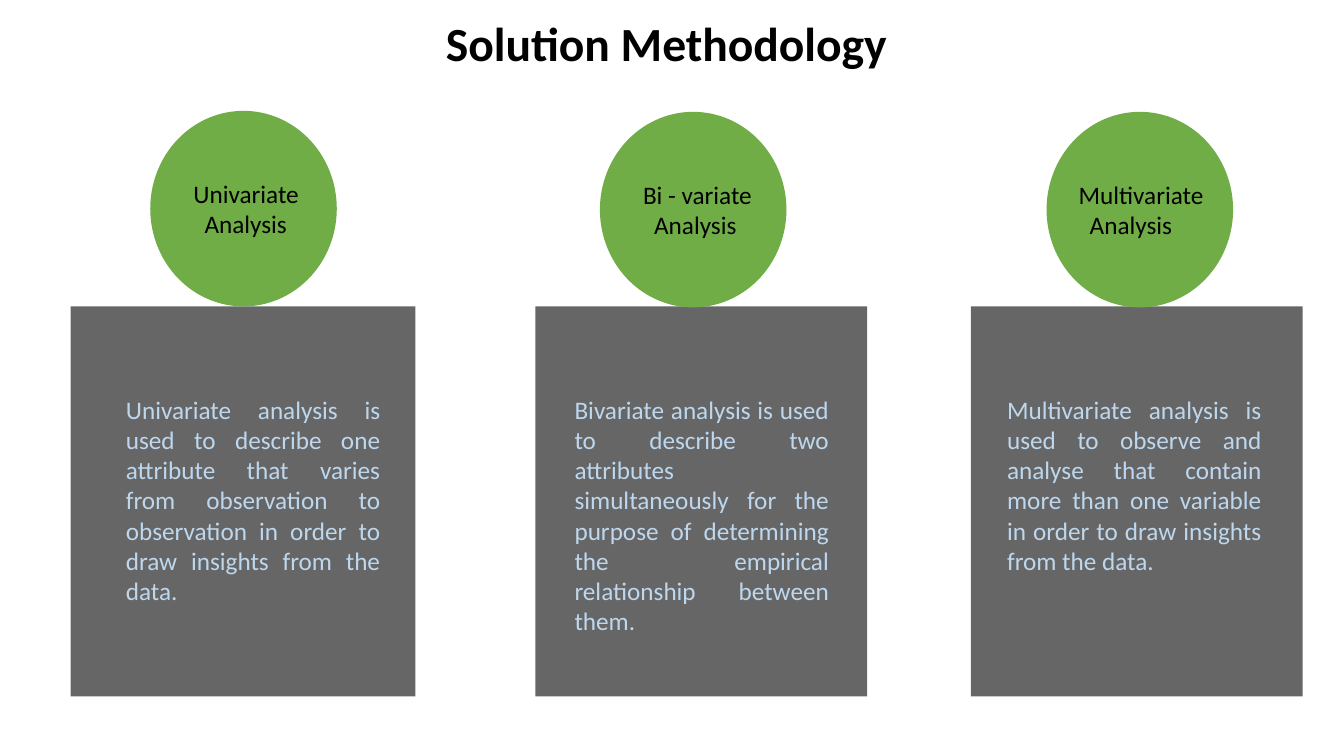
from dataclasses import dataclass

from lxml import etree
from pptx import Presentation, util as u
from pptx.dml.color import RGBColor
from pptx.enum import shapes, text
from pptx.oxml.ns import qn

PANEL_TOP, PANEL_HEIGHT = 3.04, 3.87
CIRCLE_WIDTH, CIRCLE_HEIGHT = 1.85, 1.94
BODY_TOP, BODY_WIDTH = 3.86, 2.72
LINE_STEP = 0.11  # extra indent of a label's second line


@dataclass
class Column:
    left: float
    width: float
    circle_shift: float
    circle_top: float
    body_shift: float
    body_height: float
    label: tuple
    label_indent: float
    body: str


COLUMNS = [
    Column(0.7, 3.42, 0.79, 1.1, 0.45, 2.22, ("Univariate", "Analysis"), 0.28,
           "Univariate analysis is used to describe one attribute that varies "
           "from observation to observation in order to draw insights from the data."),
    Column(5.31, 3.29, 0.64, 1.11, 0.29, 2.52, ("Bi - variate", "Analysis"), 0.28,
           "Bivariate analysis is used to describe two attributes simultaneously "
           "for the purpose of determining the empirical relationship between them."),
    Column(9.63, 3.29, 0.75, 1.11, 0.26, 1.92, ("Multivariate", "Analysis"), 0.17,
           "Multivariate analysis is used to observe and analyse that contain more "
           "than one variable in order to draw insights from the data."),
]


def colour(value):
    return RGBColor.from_string(value)


def inches(*lengths):
    return [u.Inches(length) for length in lengths]


def add_filled(page, kind, box, fill, opacity=100):
    shape = page.shapes.add_shape(kind, *inches(*box))
    shape.shadow.inherit = False
    shape.fill.solid()
    shape.fill.fore_color.rgb = colour(fill)
    shape.line.fill.background()
    if opacity < 100:
        tint = shape.fill._xPr.find(".//" + qn("a:srgbClr"))
        etree.SubElement(tint, qn("a:alpha"), val=str(opacity * 1000))


def write(frame, lines, fill, align, size=18, bold=False, indents=(0, 0)):
    frame.word_wrap = True
    frame.vertical_anchor = text.MSO_ANCHOR.TOP
    for number, (line, indent) in enumerate(zip(lines, indents)):
        para = frame.add_paragraph() if number else frame.paragraphs[0]
        para.alignment = align
        if indent:
            para._p.get_or_add_pPr().set("marL", str(u.Inches(indent)))
        span = para.add_run()
        span.text = line
        span.font.color.rgb = colour(fill)
        for name, value in {"name": "Calibri", "size": u.Pt(size), "bold": bold}.items():
            setattr(span.font, name, value)


def add_title(page, box, wording):
    title = page.shapes.title
    for name, value in zip(("left", "top", "width", "height"), inches(*box)):
        setattr(title, name, value)
    write(title.text_frame, [wording], "000000", text.PP_ALIGN.CENTER, 34, True)


def add_column(page, column):
    """Place a panel with its description, and the labelled circle above it."""
    add_filled(page, shapes.MSO_SHAPE.RECTANGLE,
               (column.left, PANEL_TOP, column.width, PANEL_HEIGHT), "000000", 60)
    body = page.shapes.add_textbox(*inches(
        column.left + column.body_shift, BODY_TOP, BODY_WIDTH, column.body_height))
    write(body.text_frame, [column.body], "BDD7EE", text.PP_ALIGN.JUSTIFY)

    left, top = column.left + column.circle_shift, column.circle_top
    add_filled(page, shapes.MSO_SHAPE.OVAL,
               (left, top, CIRCLE_WIDTH, CIRCLE_HEIGHT), "70AD47")
    label = page.shapes.add_textbox(*inches(left + 0.05, top + 0.62, 1.67, 0.71))
    write(label.text_frame, column.label, "000000", text.PP_ALIGN.LEFT,
          indents=(column.label_indent, column.label_indent + LINE_STEP))


def main():
    deck = Presentation()
    deck.slide_width, deck.slide_height = inches(13.33, 7.5)
    page = deck.slides.add_slide(deck.slide_layouts.get_by_name("Title Only"))
    add_title(page, (2.77, 0.09, 7.68, 0.67), "Solution Methodology")
    for column in COLUMNS:
        add_column(page, column)
    deck.save("out.pptx")


if __name__ == "__main__":
    main()
